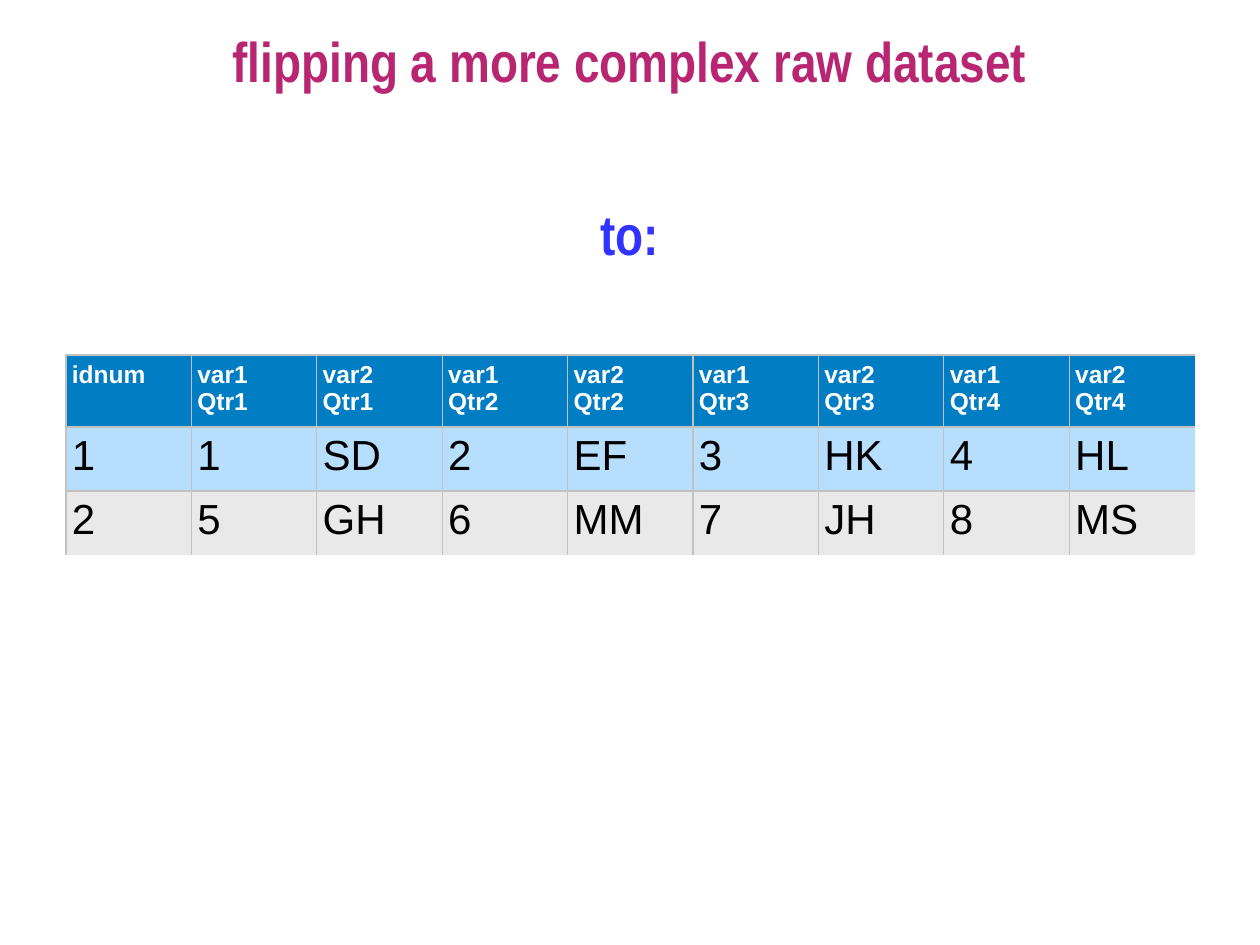
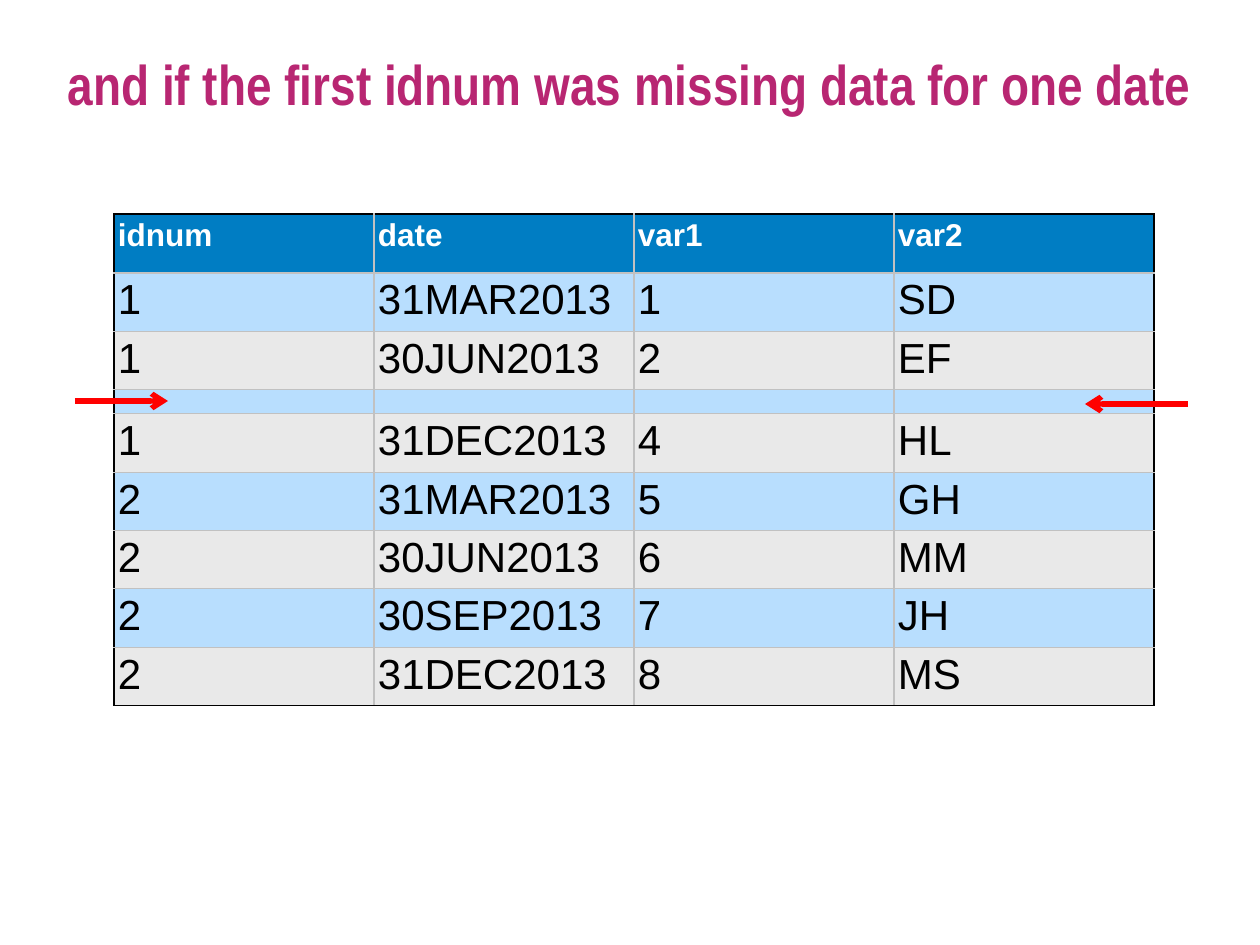
from lxml import etree
from pptx import Presentation
from pptx.dml.color import RGBColor
from pptx.enum.shapes import MSO_CONNECTOR
from pptx.enum.text import MSO_ANCHOR, PP_ALIGN
from pptx.oxml.ns import qn
from pptx.util import Emu, Pt

PIXELS_PER_INCH = 126
EMU_PER_INCH = 914400
SLIDE_WIDTH, SLIDE_HEIGHT = 1260, 945
BLANK_LAYOUT = 6

LEFT, CENTER = PP_ALIGN.LEFT, PP_ALIGN.CENTER
TOP = MSO_ANCHOR.TOP
STRAIGHT = MSO_CONNECTOR.STRAIGHT

COLORS = {
    "title": "B82672",
    "subtitle": "3333FF",
    "header": "007DC3",
    "header_text": "FFFFFF",
    "odd_row": "B8DEFE",
    "even_row": "E9E9E9",
    "cell_text": "000000",
    "grid": "C1C1C1",
    "frame": "000000",
    "arrow": "FF0000",
}
GRID_LINE = ("grid", 0.75)
FRAME_LINE = ("frame", 1)
EMPTY_CELL_SIZE = 7

QUARTER_HEADER = ["idnum"] + [
    f"var{variable}\nQtr{quarter}" for quarter in range(1, 5) for variable in (1, 2)
]
QUARTER_ROWS = [
    QUARTER_HEADER,
    ["1", "1", "SD", "2", "EF", "3", "HK", "4", "HL"],
    ["2", "5", "GH", "6", "MM", "7", "JH", "8", "MS"],
]
DATE_ROWS = [
    ["idnum", "date", "var1", "var2"],
    ["1", "31MAR2013", "1", "SD"],
    ["1", "30JUN2013", "2", "EF"],
    ["", "", "", ""],
    ["1", "31DEC2013", "4", "HL"],
    ["2", "31MAR2013", "5", "GH"],
    ["2", "30JUN2013", "6", "MM"],
    ["2", "30SEP2013", "7", "JH"],
    ["2", "31DEC2013", "8", "MS"],
]


def px(length):
    return Emu(round(length * EMU_PER_INCH / PIXELS_PER_INCH))


def rgb(name):
    return RGBColor.from_string(COLORS[name])


def write_text(text_frame, text, *, size, color, font="Arial", bold=False,
               align=LEFT, line_spacing=None):
    """Fill a text frame, one paragraph for each line of the text."""
    for index, line in enumerate(text.split("\n")):
        paragraph = text_frame.paragraphs[0] if index == 0 else text_frame.add_paragraph()
        paragraph.alignment = align
        if line_spacing:
            paragraph.line_spacing = line_spacing
        if not line:
            etree.SubElement(paragraph._p, qn("a:endParaRPr"), sz=str(size * 100))
            continue
        run = paragraph.add_run()
        run.text = line
        run.font.name = font
        run.font.size = Pt(size)
        run.font.bold = bold
        run.font.color.rgb = rgb(color)


def add_heading(slide, text, top, height, color="title"):
    shape = slide.shapes.add_textbox(0, px(top), px(SLIDE_WIDTH), px(height))
    shape.text_frame.word_wrap = True
    shape.text_frame.vertical_anchor = TOP
    write_text(shape.text_frame, text, size=32, color=color, font="Arial Narrow",
               bold=True, align=CENTER, line_spacing=0.83)


def set_borders(cell, **lines):
    """Set the left, right, top and bottom lines; None hides a line."""
    properties = cell._tc.get_or_add_tcPr()
    for index, side in enumerate(("left", "right", "top", "bottom")):
        border = etree.Element(qn(f"a:ln{side[0].upper()}"))
        if lines[side]:
            color, width = lines[side]
            border.set("w", str(Pt(width)))
            fill = etree.SubElement(border, qn("a:solidFill"))
            etree.SubElement(fill, qn("a:srgbClr"), val=COLORS[color])
        else:
            etree.SubElement(border, qn("a:noFill"))
        properties.insert(index, border)


def add_data_table(slide, rows, box, row_heights, header_size, inset, start_line, end_line):
    """Add a banded table; start_line edges left and top, end_line right and bottom."""
    left, top, width = box
    row_count, column_count = len(rows), len(rows[0])
    table = slide.shapes.add_table(row_count, column_count, px(left), px(top),
                                   px(width), px(sum(row_heights))).table
    table.horz_banding = table.first_row = False
    for column in table.columns:
        column.width = px(width / column_count)
    for row_index, (values, height) in enumerate(zip(rows, row_heights)):
        table.rows[row_index].height = px(height)
        is_header = row_index == 0
        band = "header" if is_header else ("even_row", "odd_row")[row_index % 2]
        for column_index, value in enumerate(values):
            cell = table.cell(row_index, column_index)
            cell.margin_left = cell.margin_right = px(inset)
            cell.margin_top = cell.margin_bottom = px(inset)
            cell.vertical_anchor = TOP
            cell.fill.solid()
            cell.fill.fore_color.rgb = rgb(band)
            set_borders(
                cell,
                left=start_line if column_index == 0 else GRID_LINE,
                right=end_line if column_index == column_count - 1 else GRID_LINE,
                top=start_line if is_header else GRID_LINE,
                bottom=end_line if row_index == row_count - 1 else GRID_LINE,
            )
            size = header_size if is_header else 24
            write_text(cell.text_frame, value, size=size if value else EMPTY_CELL_SIZE,
                       color="header_text" if is_header else "cell_text", bold=is_header)


def add_arrow(slide, start, end, y):
    connector = slide.shapes.add_connector(STRAIGHT, px(start), px(y), px(end), px(y))
    connector.line.color.rgb = rgb("arrow")
    connector.line.width = Pt(3)
    etree.SubElement(connector.line._get_or_add_ln(), qn("a:tailEnd"), type="arrow")
    etree.SubElement(connector._element.spPr, qn("a:effectLst"))


def add_flipped_slide(slide):
    add_heading(slide, "to:", top=205, height=77, color="subtitle")
    add_data_table(slide, QUARTER_ROWS, box=(66, 355, 1129), row_heights=[72, 64, 64],
                   header_size=14, inset=6, start_line=GRID_LINE, end_line=None)
    add_heading(slide, "flipping a more complex raw dataset", top=32, height=83)


def add_missing_date_slide(slide):
    add_heading(slide, "and if the first idnum was missing data for one date",
                top=55, height=87)
    row_heights = [59 if values[0] == "idnum" else 58 if values[0] else 24
                   for values in DATE_ROWS]
    add_data_table(slide, DATE_ROWS, box=(114, 214, 1040), row_heights=row_heights,
                   header_size=18, inset=4, start_line=FRAME_LINE, end_line=FRAME_LINE)
    add_arrow(slide, start=1188, end=1085, y=404)
    add_arrow(slide, start=75, end=168, y=401)


def main():
    presentation = Presentation()
    presentation.slide_width = px(SLIDE_WIDTH)
    presentation.slide_height = px(SLIDE_HEIGHT)
    for fill_slide in (add_flipped_slide, add_missing_date_slide):
        fill_slide(presentation.slides.add_slide(presentation.slide_layouts[BLANK_LAYOUT]))
    presentation.save("out.pptx")


if __name__ == "__main__":
    main()
